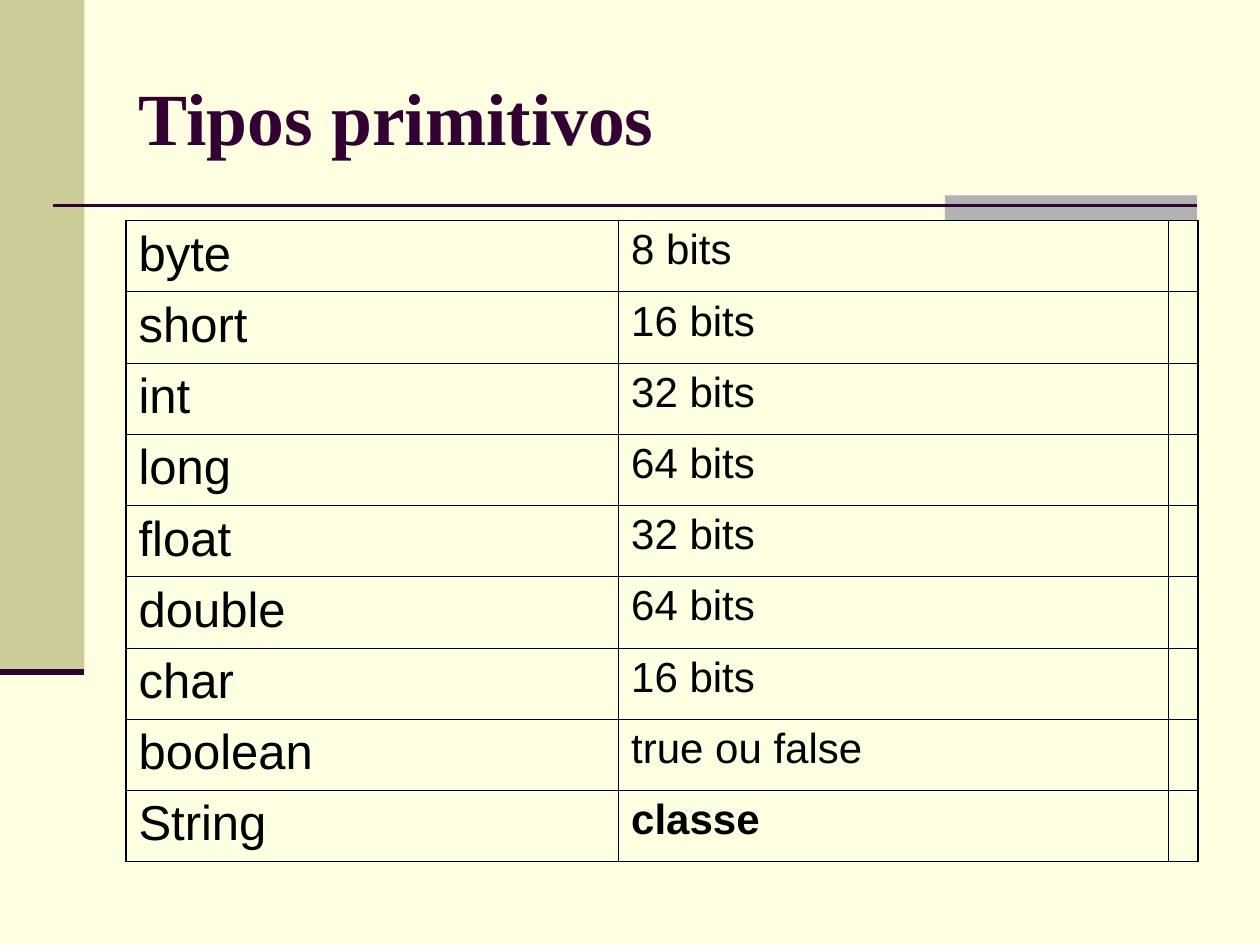
from lxml.etree import SubElement
from pptx import Presentation
from pptx.dml.color import RGBColor
from pptx.enum.shapes import MSO_CONNECTOR as Line, MSO_SHAPE as Shape
from pptx.enum.text import MSO_ANCHOR as Anchor, MSO_AUTO_SIZE as AutoSize, PP_ALIGN as Align
from pptx.oxml import parse_xml
from pptx.oxml.ns import nsdecls, qn
from pptx.util import Inches, Pt

# Content
TITLE = "Tipos primitivos"
TYPES = [
    ("byte", "8 bits"),
    ("short", "16 bits"),
    ("int", "32 bits"),
    ("long", "64 bits"),
    ("float", "32 bits"),
    ("double", "64 bits"),
    ("char", "16 bits"),
    ("boolean", "true ou false"),
    ("String", "classe"),
]
BOLD_SIZES = {"classe"}

# Theme and layout
THEME = {
    "background": "FFFFE1", "band": "CCCC99", "accent": "B2B2B2",
    "dark": "330033", "text": "000000",
    "title_font": "Times New Roman", "body_font": "Arial",
    "title_size": 42, "type_size": 28, "detail_size": 24,
    "outer_border": 1.08, "inner_border": 0.45,
}
BLOCKS = [(0, 0, 0.67, 5.33, "band"), (7.5, 1.55, 2, 0.2, "accent")]
RULES = [(0.42, 1.63, 9.5, 1.63, 1.5), (0, 5.33, 0.67, 5.33, 3.5)]
TITLE_BOX = (1, 0.3, 8.5, 1.25)
TABLE_BOX = (1, 1.75, 8.5, 5.09)
COLUMN_WIDTHS = [3.91, 4.36, 0.24]


def color(key):
    return RGBColor.from_string(THEME[key])


def write(frame, text, *, size, font="body_font", ink="text", bold=False):
    paragraph = frame.paragraphs[0]
    paragraph.alignment = Align.LEFT
    run = paragraph.add_run()
    run.text = text
    run.font.name = THEME[font]
    run.font.size = Pt(THEME[size])
    run.font.bold = bold
    run.font.color.rgb = color(ink)


def set_borders(cell, outer_sides):
    properties = cell._tc.get_or_add_tcPr()
    for index, side in enumerate("LRTB"):
        weight = THEME["outer_border" if side in outer_sides else "inner_border"]
        border = parse_xml(
            f'<a:ln{side} {nsdecls("a")} w="{Pt(weight)}"><a:solidFill>'
            f'<a:srgbClr val="{THEME["text"]}"/></a:solidFill></a:ln{side}>')
        properties.insert(index, border)


prs = Presentation()
prs.slide_width, prs.slide_height = Inches(10), Inches(7.5)
slide = prs.slides.add_slide(prs.slide_layouts[5])
slide.background.fill.solid()
slide.background.fill.fore_color.rgb = color("background")

# Side band and accent block
for *box, fill in BLOCKS:
    block = slide.shapes.add_shape(Shape.RECTANGLE, *map(Inches, box))
    block.shadow.inherit = False
    block.fill.solid()
    block.fill.fore_color.rgb = color(fill)
    block.line.fill.background()

# Dark rules
for *ends, weight in RULES:
    rule = slide.shapes.add_connector(Line.STRAIGHT, *map(Inches, ends))
    rule.line.color.rgb = color("dark")
    rule.line.width = Pt(weight)
    SubElement(rule._element.spPr, qn("a:effectLst"))

# Title
title = slide.shapes.title
title.left, title.top, title.width, title.height = map(Inches, TITLE_BOX)
title.text_frame.auto_size = AutoSize.NONE
title.text_frame.word_wrap = True
title.text_frame.vertical_anchor = Anchor.MIDDLE
write(title.text_frame, TITLE, size="title_size", font="title_font", ink="dark", bold=True)

# Table of types, with a narrow empty last column
last_row, last_column = len(TYPES) - 1, len(COLUMN_WIDTHS) - 1
table = slide.shapes.add_table(
    len(TYPES), len(COLUMN_WIDTHS), *map(Inches, TABLE_BOX)).table
table.first_row = table.horz_banding = False
for column, width in zip(table.columns, COLUMN_WIDTHS):
    column.width = Inches(width)

for r, (type_name, detail) in enumerate(TYPES):
    write(table.cell(r, 0).text_frame, type_name, size="type_size")
    write(table.cell(r, 1).text_frame, detail, size="detail_size",
          bold=detail in BOLD_SIZES)
    for c in range(len(COLUMN_WIDTHS)):
        cell = table.cell(r, c)
        cell.fill.background()
        on_edge = {"L": c == 0, "R": c == last_column, "T": r == 0, "B": r == last_row}
        set_borders(cell, [side for side, outer in on_edge.items() if outer])

prs.save("out.pptx")
